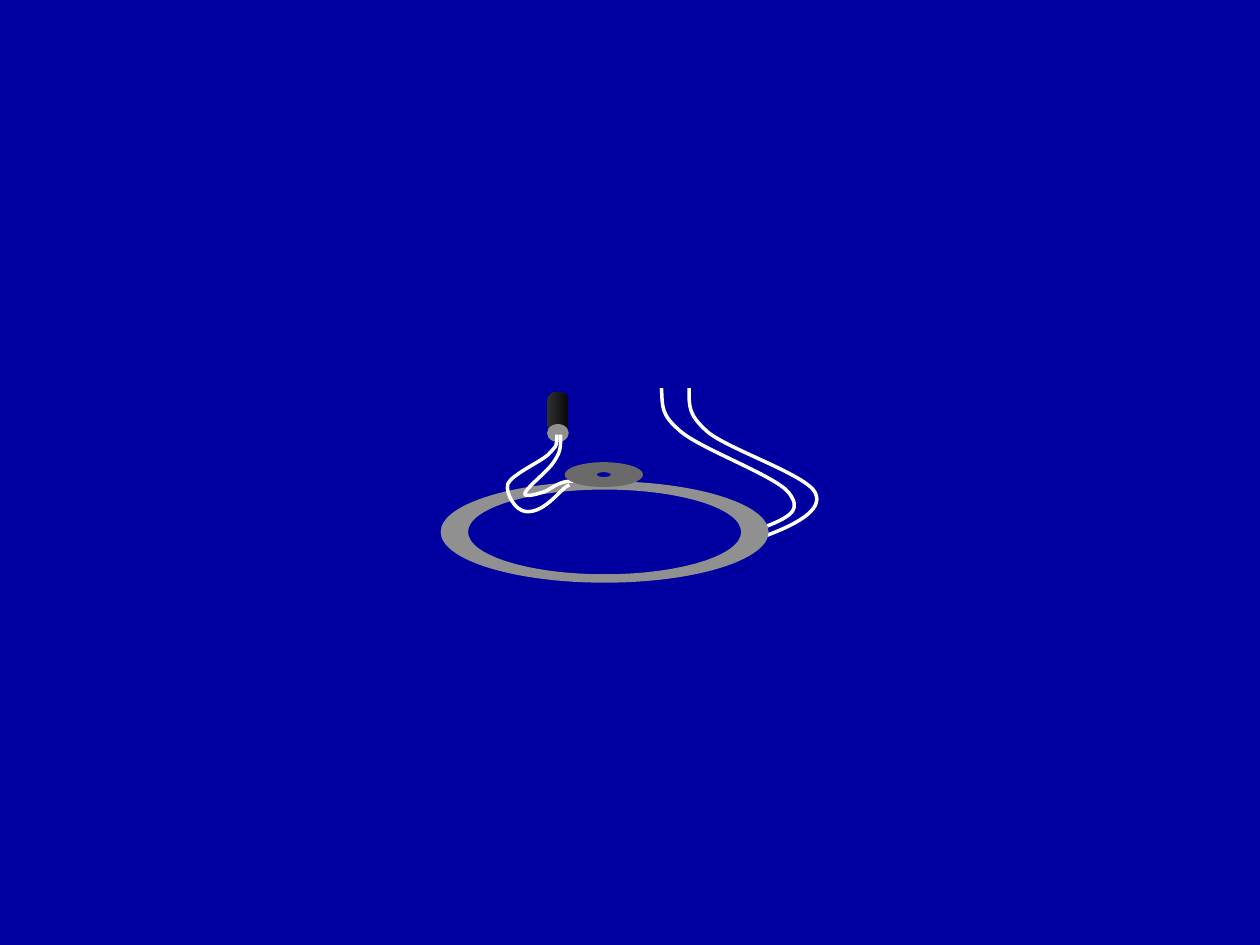
import math
from dataclasses import dataclass

import pptx
import pptx.dml.color
import pptx.enum.shapes
import pptx.oxml.ns
import pptx.util

Pt = pptx.util.Pt
SHAPES = pptx.enum.shapes.MSO_SHAPE


@dataclass(frozen=True)
class Theme:
    backdrop: str = "0000A0"
    wire: str = "FFFFFF"
    ring: str = "909090"
    disc: str = "6A6A6A"
    tube_light: str = "303030"
    tube_dark: str = "080808"
    wire_width: float = 2


THEME = Theme()

RIGHT_WIRES = [
    [(433.4, 302.4), (453.6, 295.2), (457.9, 290.9), (450.7, 281.5),
     (443.5, 272.2), (401.8, 257), (389.5, 247),
     (377.3, 236.9), (378.7, 232.6), (378, 221.8)],
    [(434.2, 307.4), (454.3, 300.2), (470.9, 291.6), (465.8, 281.5),
     (460.8, 271.4), (416.9, 257), (404.6, 247),
     (393.1, 236.9), (393.8, 232.6), (393.8, 221.8)],
]
LEFT_WIRES = [
    [(325.4, 277.2), (321.8, 277.2), (311.8, 293.8), (300.2, 292.3),
     (294.5, 291.6), (288.7, 282.2), (290.2, 276.5),
     (292.3, 271.4), (308.2, 264.2), (313.2, 259.9),
     (317.5, 254.9), (318.2, 256.3), (318.2, 248.4)],
    [(327.6, 275), (319, 274.3), (313.9, 280.8), (309.6, 281.5),
     (304.6, 283), (298.8, 284.4), (300.2, 281.5),
     (301.7, 277.9), (313.9, 268.6), (316.8, 263.5),
     (320.4, 257.8), (320.4, 256.3), (320.4, 248.4)],
]


def rgb(value):
    return pptx.dml.color.RGBColor.from_string(value)


def fill_plain(shape, color):
    shape.shadow.inherit = False
    shape.fill.solid()
    shape.fill.fore_color.rgb = rgb(color)
    shape.line.fill.background()


def add_filled(page, kind, left, top, width, height, color):
    shape = page.shapes.add_shape(kind, Pt(left), Pt(top), Pt(width), Pt(height))
    fill_plain(shape, color)
    return shape


def bend_segments(shape):
    tag = pptx.oxml.ns.qn
    for outline in shape.element.iter(tag("a:path")):
        segments = outline.findall(tag("a:lnTo"))
        for start in range(0, len(segments), 3):
            curve = pptx.oxml.parse_xml(
                f'<a:cubicBezTo {pptx.oxml.ns.nsdecls("a")}/>')
            segments[start].addprevious(curve)
            for segment in segments[start:start + 3]:
                curve.append(segment[0])
                outline.remove(segment)


def add_curves(page, contours, close):
    contours = [[(Pt(x), Pt(y)) for x, y in contour] for contour in contours]
    builder = page.shapes.build_freeform(*contours[0][0])
    for number, contour in enumerate(contours):
        if number:
            builder.move_to(*contour[0])
        builder.add_line_segments(contour[1:], close=close)
    shape = builder.convert_to_shape()
    bend_segments(shape)
    shape.shadow.inherit = False
    return shape


def add_wire(page, points):
    wire = add_curves(page, [points], close=False)
    wire.fill.background()
    wire.line.color.rgb = rgb(THEME.wire)
    wire.line.width = Pt(THEME.wire_width)


def ellipse_points(center, radii):
    handle = 4 * (math.sqrt(2) - 1) / 3
    unit = [(1, 0)]
    x, y = 1, 0
    for _ in range(4):
        next_x, next_y = -y, x
        unit += [(x + handle * next_x, y + handle * next_y),
                 (next_x + handle * x, next_y + handle * y),
                 (next_x, next_y)]
        x, y = next_x, next_y
    return [(center[0] + radii[0] * x, center[1] + radii[1] * y) for x, y in unit]


def add_tilted_ring(page, center, outer, inner, color):
    contours = [ellipse_points(center, radii) for radii in (outer, inner)]
    fill_plain(add_curves(page, contours, close=True), color)


def add_tube(page, left, top, width, height, cap_height):
    body = add_filled(page, SHAPES.ROUNDED_RECTANGLE, left, top, width,
                      height - cap_height / 2, THEME.tube_light)
    body.adjustments[0] = 0.4
    body.fill.gradient()
    body.fill.gradient_angle = 0
    colors = (THEME.tube_light, THEME.tube_dark)
    for stop, color in zip(body.fill.gradient_stops, colors):
        stop.color.rgb = rgb(color)
    add_filled(page, SHAPES.OVAL, left, top + height - cap_height, width,
               cap_height, THEME.ring)


def main():
    deck = pptx.Presentation()
    deck.slide_width, deck.slide_height = Pt(720), Pt(540)
    page = deck.slides.add_slide(deck.slide_layouts[6])
    add_filled(page, SHAPES.RECTANGLE, 0, 0, 720, 540, THEME.backdrop)
    for points in RIGHT_WIRES:
        add_wire(page, points)
    add_tilted_ring(page, (345.5, 304), (93.7, 29), (78, 24.2), THEME.ring)
    add_tube(page, 312.6, 224, 12.4, 28.6, 10.3)
    for points in LEFT_WIRES:
        add_wire(page, points)
    add_tilted_ring(page, (345.1, 271.2), (22.4, 7.1), (4, 1.4), THEME.disc)
    deck.save("out.pptx")


if __name__ == "__main__":
    main()
